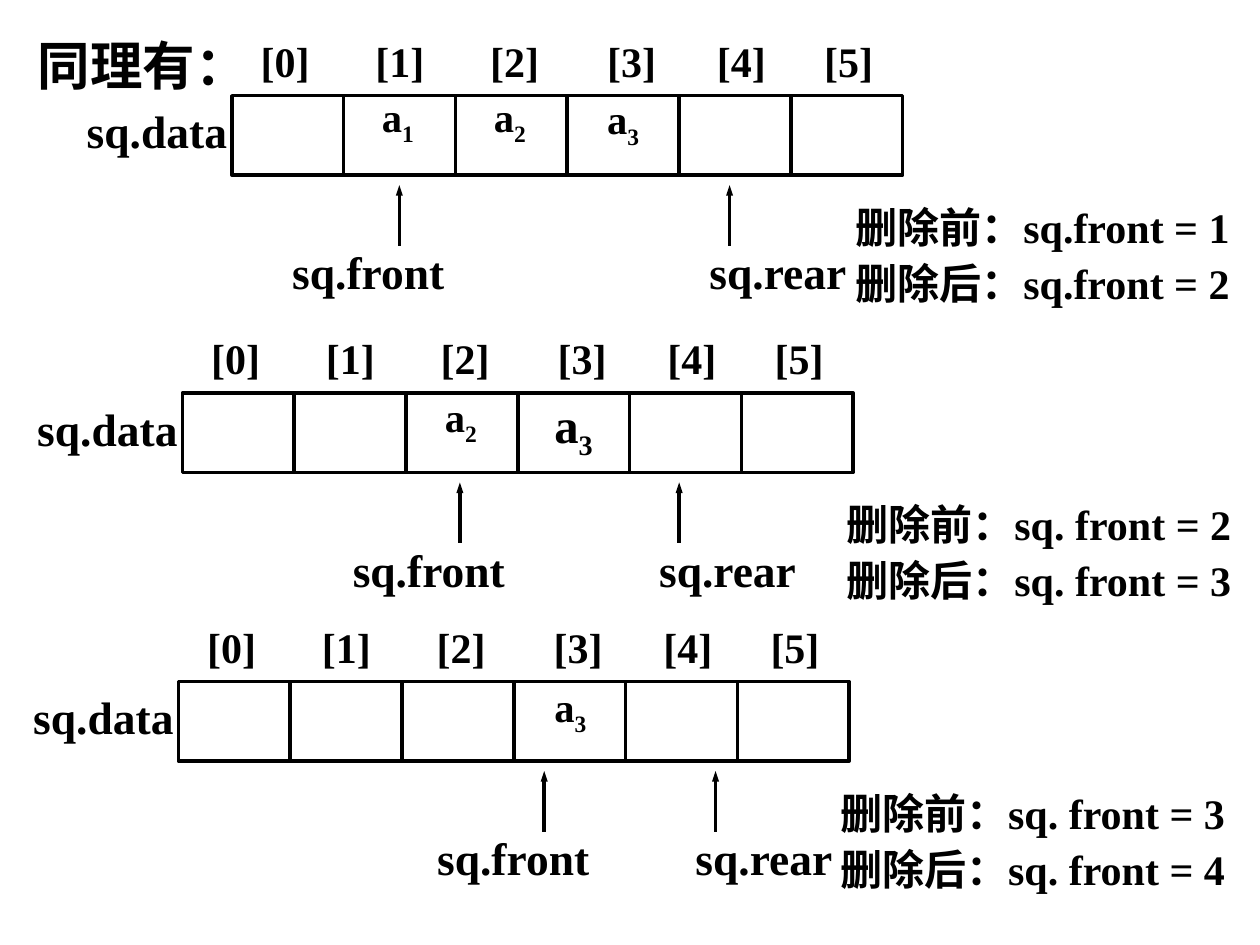
from lxml.etree import SubElement
from pptx import Presentation
from pptx.dml.color import RGBColor
from pptx.enum.shapes import MSO_CONNECTOR as Conn, MSO_SHAPE as Geo
from pptx.enum.text import MSO_ANCHOR as Anchor, PP_ALIGN as Align
from pptx.oxml.ns import qn
from pptx.util import Pt

BLACK = RGBColor(0, 0, 0)
WHITE = RGBColor(255, 255, 255)
FONT = "Times New Roman"
CELL_W, CELL_H = 63.9, 45.4

deck = Presentation()
deck.slide_width, deck.slide_height = Pt(720), Pt(540)
slide = deck.slides.add_slide(deck.slide_layouts[6])
shapes = slide.shapes


def write(shape, lines, size, inset=False, sub="", space=1):
    """Fill a shape with bold lines; sub is a subscript after each line."""
    frame = shape.text_frame
    frame.word_wrap = True
    frame.vertical_anchor = Anchor.TOP
    frame.margin_left = frame.margin_right = Pt(7.2 if inset else 0)
    frame.margin_top = frame.margin_bottom = Pt(3.6 if inset else 0)
    for i, line in enumerate(lines):
        para = frame.add_paragraph() if i else frame.paragraphs[0]
        para.alignment = Align.LEFT if inset else Align.JUSTIFY
        para.line_spacing = space
        if i:
            para.space_before = Pt(3)
        for text in filter(None, (line, sub)):
            run = para.add_run()
            run.text = text
            font = run.font
            font.name, font.size, font.bold = FONT, Pt(size), True
            font.color.rgb = BLACK
            if text == sub:
                font._element.set("baseline", "-25000")


def point(x, low, high):
    """Draw an arrow that points straight up."""
    line = shapes.add_connector(Conn.STRAIGHT, Pt(x), Pt(low), Pt(x), Pt(high))
    line.line.color.rgb = BLACK
    line.line.width = Pt(2)
    SubElement(line.line._get_or_add_ln(), qn("a:tailEnd"),
               type="triangle", w="sm", len="med")
    SubElement(line._element.spPr, qn("a:effectLst"))


panel = shapes.add_shape(Geo.RECTANGLE, Pt(14.4), Pt(15.1), Pt(692), Pt(510.5))
panel.shadow.inherit = False
panel.fill.solid()
panel.fill.fore_color.rgb = WHITE
panel.line.fill.background()
write(panel, ["同理有："], 30, inset=True)

# Index labels, measured from the left end of the queue
marks = [16.5, 82, 147.6, 214.5, 277.2, 338.4]

# left, top, front x, rear x, note x, note text, front before deletion,
# items as (subscript, x, drop below the top, size, line spacing)
queues = [
    (132.5, 54.7, 167, 405.4, 481.7, "sq.front", 1,
     [("1", 218.2, 0.7, 23.2, 0.8), ("2", 282.2, 0.7, 23.2, 0.8),
      ("3", 347, 2.2, 23.2, 0.8)]),
    (104.2, 224.6, 201.6, 376.6, 476.6, "sq. front", 2,
     [("2", 254.2, 2.2, 23.2, 0.8), ("3", 316.8, 1.5, 27.8, 0.9)]),
    (101.9, 389.5, 249.8, 397.4, 473, "sq. front", 3,
     [("3", 316.8, 2.9, 23.2, 0.8)]),
]

for left, top, front, rear, note, name, num, items in queues:
    for i, mark in enumerate(marks):
        cell = shapes.add_shape(Geo.RECTANGLE, Pt(left + i * CELL_W), Pt(top),
                                Pt(CELL_W), Pt(CELL_H))
        cell.shadow.inherit = False
        cell.fill.solid()
        cell.fill.fore_color.rgb = WHITE
        cell.line.color.rgb = BLACK
        cell.line.width = Pt(2)
        box = shapes.add_textbox(Pt(left + mark), Pt(top - 34.5), Pt(39.6), Pt(33))
        write(box, [f"[{i}]"], 24)

    for sub, x, drop, size, space in items:
        box = shapes.add_textbox(Pt(x), Pt(top + drop), Pt(45.4), Pt(33))
        write(box, ["a"], size, sub=sub, space=space)

    box = shapes.add_textbox(Pt(left - 90), Pt(top + 0.9), Pt(108), Pt(39))
    write(box, ["sq.data"], 26, inset=True)

    for x, text, width, shift in ((front, "sq.front", 90.7, 61.2),
                                  (rear, "sq.rear", 85, 11.5)):
        box = shapes.add_textbox(Pt(x), Pt(top + 85), Pt(width), Pt(38.5))
        write(box, [text], 26)
        point(x + shift, top + 85.7, top + 51.1)

    box = shapes.add_textbox(Pt(note), Pt(top + 56.9), Pt(718 - note), Pt(67.7))
    write(box, [f"删除前：{name} = {num}", f"删除后：{name} = {num + 1}"], 24, inset=True)

deck.save("out.pptx")
